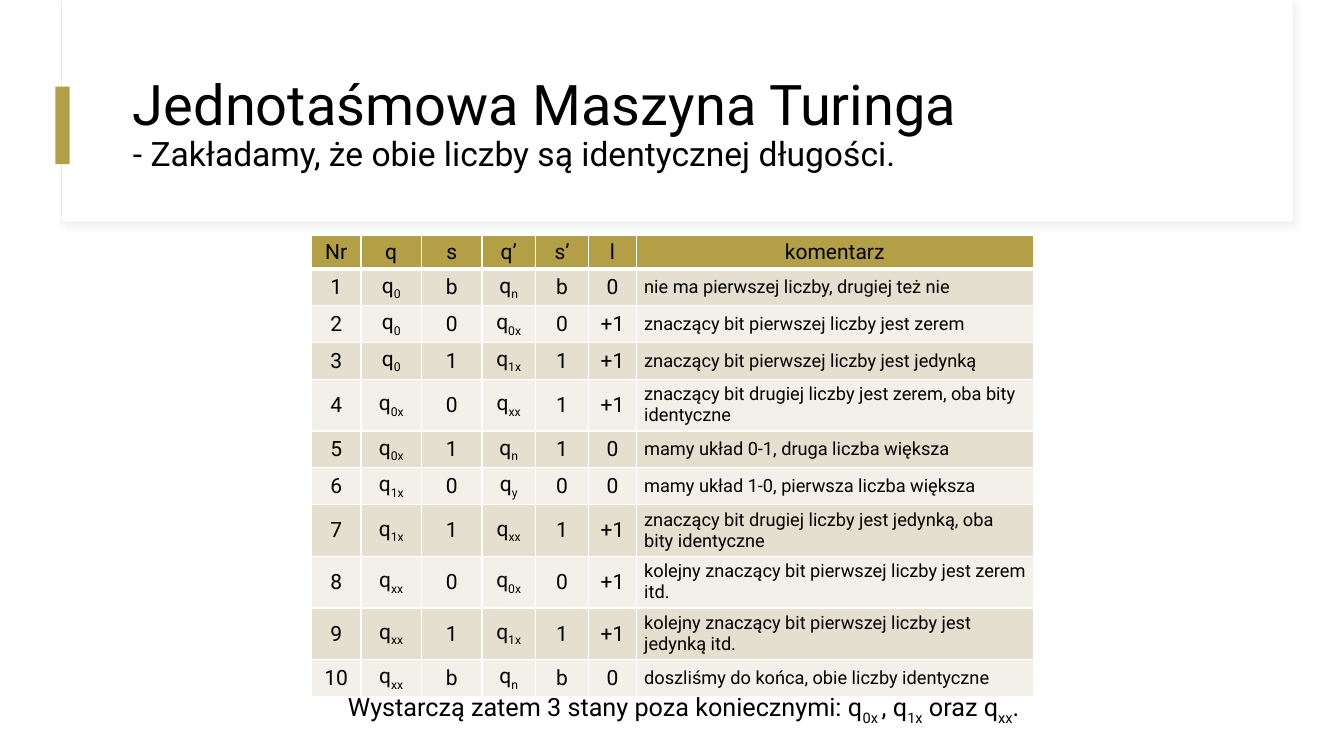
from dataclasses import dataclass

from lxml import etree
from pptx import Presentation
from pptx.dml.color import RGBColor
from pptx.enum.shapes import MSO_SHAPE
from pptx.enum.text import MSO_ANCHOR, PP_ALIGN
from pptx.oxml.ns import qn
from pptx.util import Inches, Pt

RECT = MSO_SHAPE.RECTANGLE
TOP, MIDDLE = MSO_ANCHOR.TOP, MSO_ANCHOR.MIDDLE
LEFT, CENTER = PP_ALIGN.LEFT, PP_ALIGN.CENTER


@dataclass(frozen=True)
class Theme:
    font: str = "Roboto"
    text: str = "000000"
    white: str = "FFFFFF"
    accent: str = "B3A046"
    frame: str = "EFEDE3"
    shadow: str = "D9D9D9"
    bands: tuple = ("E5DFCF", "F2F0E9")
    title: int = 40
    subtitle: int = 24
    body: int = 18
    cell: int = 15
    comment: int = 13


# Underscores enclose subscripts
HEADER = ("Nr", "q", "s", "q’", "s’", "l", "komentarz")
TRANSITIONS = [
    ("q_0_", "b", "q_n_", "b", "0", "nie ma pierwszej liczby, drugiej też nie"),
    ("q_0_", "0", "q_0x_", "0", "+1", "znaczący bit pierwszej liczby jest zerem"),
    ("q_0_", "1", "q_1x_", "1", "+1", "znaczący bit pierwszej liczby jest jedynką"),
    ("q_0x_", "0", "q_xx_", "1", "+1",
     "znaczący bit drugiej liczby jest zerem, oba bity identyczne"),
    ("q_0x_", "1", "q_n_", "1", "0", "mamy układ 0-1, druga liczba większa"),
    ("q_1x_", "0", "q_y_", "0", "0", "mamy układ 1-0, pierwsza liczba większa"),
    ("q_1x_", "1", "q_xx_", "1", "+1",
     "znaczący bit drugiej liczby jest jedynką, oba bity identyczne"),
    ("q_xx_", "0", "q_0x_", "0", "+1",
     "kolejny znaczący bit pierwszej liczby jest zerem itd."),
    ("q_xx_", "1", "q_1x_", "1", "+1",
     "kolejny znaczący bit pierwszej liczby jest jedynką itd."),
    ("q_xx_", "b", "q_n_", "b", "0", "doszliśmy do końca, obie liczby identyczne"),
]
COLUMN_WIDTHS = (0.49, 0.6, 0.6, 0.53, 0.53, 0.47, 3.94)
ROW_HEIGHT, TALL_ROW_HEIGHT = 0.33, 0.51
TALL_ROWS = (4, 7, 8, 9)


def add_text(p, text, *, size, font, color, align=LEFT):
    """Add text to a paragraph, lowering the parts between underscores."""
    p.alignment = align
    for i, part in enumerate(text.split("_")):
        if not part:
            continue
        r = p.add_run()
        r.text = part
        r.font.name = font
        r.font.size = Pt(size)
        r.font.bold = False
        r.font.color.rgb = RGBColor.from_string(color)
        if i % 2:
            r.font._element.set("baseline", "-25000")


def add_color(parent, color):
    return etree.SubElement(parent, qn("a:srgbClr"), val=color)


class SlideBuilder:
    def __init__(self, slide, theme):
        self.s = slide
        self.theme = theme

    def line(self, p, text, size, align=LEFT):
        add_text(p, text, size=size, align=align,
                 font=self.theme.font, color=self.theme.text)

    def rect(self, x, y, w, h, fill, line=None):
        sp = self.s.shapes.add_shape(RECT, Inches(x), Inches(y), Inches(w), Inches(h))
        sp.shadow.inherit = False
        sp.fill.solid()
        sp.fill.fore_color.rgb = RGBColor.from_string(fill)
        if line:
            sp.line.color.rgb = RGBColor.from_string(line)
            sp.line.width = Pt(0.75)
        else:
            sp.line.fill.background()
        return sp

    def shadow(self, sp):
        effects = sp._element.spPr.find(qn("a:effectLst"))
        shadow = etree.SubElement(
            effects, qn("a:outerShdw"), blurRad=str(Pt(4)), dist=str(Pt(3)),
            dir=str(45 * 60000), algn="tl", rotWithShape="0")
        color = add_color(shadow, self.theme.shadow)
        etree.SubElement(color, qn("a:alpha"), val="30000")

    def text(self, x, y, w, h, lines, *, align=LEFT, anchor=TOP, spacing=1.0, before=0):
        """Add one paragraph whose (text, size) lines are split by line breaks."""
        box = self.s.shapes.add_textbox(Inches(x), Inches(y), Inches(w), Inches(h))
        tf = box.text_frame
        tf.word_wrap = True
        tf.vertical_anchor = anchor
        p = tf.paragraphs[0]
        p.line_spacing = spacing
        p.space_before = Pt(before)
        for i, (text, size) in enumerate(lines):
            if i:
                p.add_line_break()
            self.line(p, text, size, align)

    def borders(self, cell, top=1, bottom=1):
        tc_pr = cell._tc.get_or_add_tcPr()
        for side, width in (("L", 1), ("R", 1), ("T", top), ("B", bottom)):
            ln = etree.SubElement(tc_pr, qn(f"a:ln{side}"), w=str(Pt(width)))
            add_color(etree.SubElement(ln, qn("a:solidFill")), self.theme.white)

    def cell(self, cell, text, fill, size, align, **borders):
        self.borders(cell, **borders)
        cell.fill.solid()
        cell.fill.fore_color.rgb = RGBColor.from_string(fill)
        cell.vertical_anchor = MIDDLE
        cell.margin_left = cell.margin_right = Inches(0.08)
        cell.margin_top = cell.margin_bottom = Inches(0.04)
        self.line(cell.text_frame.paragraphs[0], text, size, align)

    def table(self, x, y, rows, widths, heights):
        t = self.theme
        table = self.s.shapes.add_table(
            len(rows), len(widths), Inches(x), Inches(y),
            Inches(sum(widths)), Inches(sum(heights))).table
        table.horz_banding = False
        for column, width in zip(table.columns, widths):
            column.width = Inches(width)
        for i, (row, height) in enumerate(zip(rows, heights)):
            table.rows[i].height = Inches(height)
            fill = t.bands[(i - 1) % 2] if i else t.accent
            for j, text in enumerate(row):
                is_comment = i > 0 and j == len(row) - 1
                self.cell(table.cell(i, j), text, fill,
                          t.comment if is_comment else t.cell,
                          LEFT if is_comment else CENTER,
                          top=3 if i == 1 else 1, bottom=3 if i == 0 else 1)


def main():
    prs = Presentation()
    prs.slide_width, prs.slide_height = Inches(13.33), Inches(7.5)
    theme = Theme()
    b = SlideBuilder(prs.slides.add_slide(prs.slide_layouts[6]), theme)

    # Title panel with accent bar
    b.shadow(b.rect(0.61, 0, 12.21, 2.21, theme.white, line=theme.frame))
    b.rect(0.62, 0, 12.2, 2.2, theme.white)
    b.rect(0.55, 0.86, 0.14, 0.77, theme.accent)
    b.text(1.22, 0.6, 11.12, 1.29, [
        ("Jednotaśmowa Maszyna Turinga", theme.title),
        ("- Zakładamy, że obie liczby są identycznej długości.", theme.subtitle),
    ], anchor=MIDDLE, spacing=0.9)

    # Conclusion
    b.text(1.22, 6.78, 11.12, 0.48, [
        ("Wystarczą zatem 3 stany poza koniecznymi: q_0x _, q_1x_ oraz q_xx_.",
         theme.body),
    ], align=CENTER, spacing=1.1, before=10)

    # Transition table, numbered from 1
    rows = [HEADER] + [(str(n), *row) for n, row in enumerate(TRANSITIONS, 1)]
    heights = [TALL_ROW_HEIGHT if i in TALL_ROWS else ROW_HEIGHT
               for i in range(len(rows))]
    b.table(3.09, 2.34, rows, COLUMN_WIDTHS, heights)

    prs.save("out.pptx")


if __name__ == "__main__":
    main()
